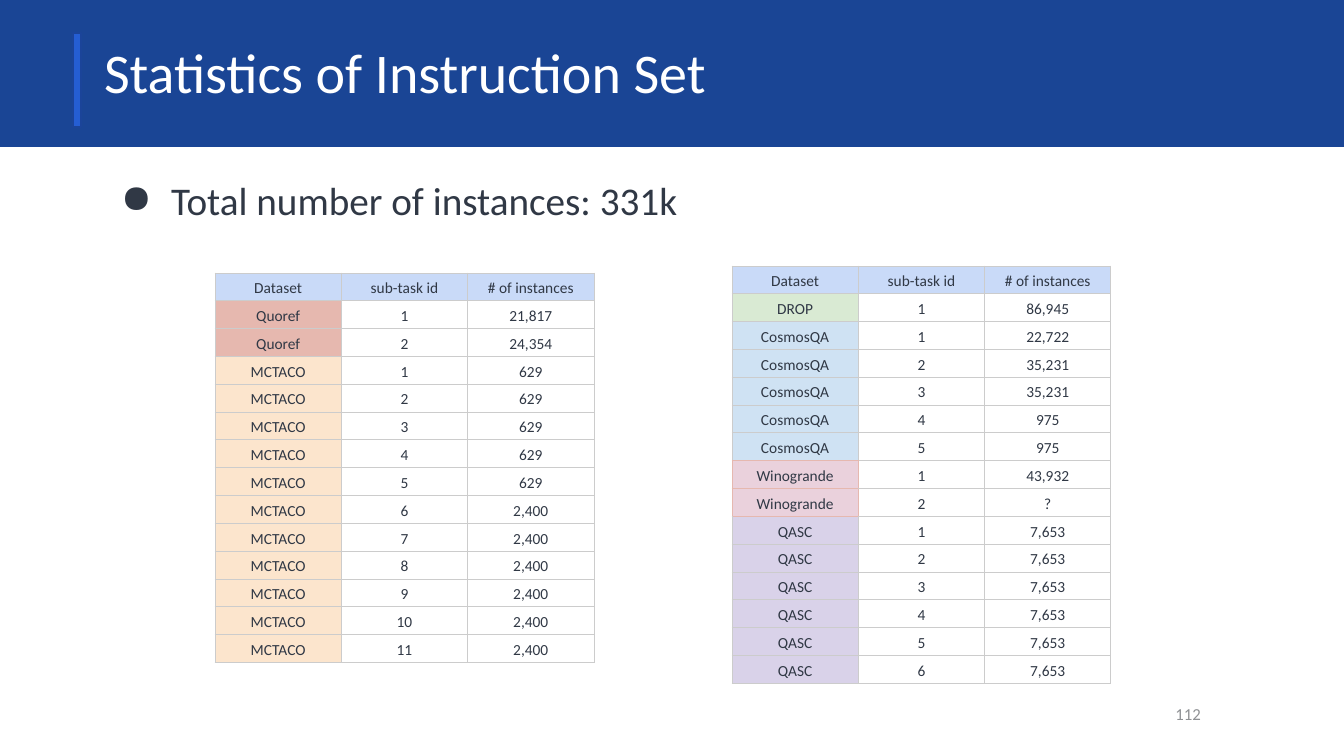
from lxml.etree import SubElement
from pptx import Presentation
from pptx.dml.color import RGBColor
from pptx.enum.shapes import MSO_SHAPE
from pptx.enum.text import MSO_ANCHOR, MSO_AUTO_SIZE, PP_ALIGN
from pptx.oxml.ns import qn
from pptx.util import Emu, Pt

EMU_PER_PX = 914400 / 100.8
COLORS = {
    "banner": "1A4595", "accent": "255ED3", "accent line": "1B4499",
    "white": "FFFFFF", "text": "303845", "page number": "8F9194",
    "grid": "CCCCCC", "pink grid": "E6B8AF", "Dataset": "C9DAF8",
    "Quoref": "E6B8AF", "MCTACO": "FCE5CD", "DROP": "D9EAD3",
    "CosmosQA": "CFE2F3", "Winogrande": "EAD1DC", "QASC": "D9D2E9",
}
HEADER = ("Dataset", "sub-task id", "# of instances")
TABLES = [  # left, top, instances of each sub-task by dataset
    (732, 266, {
        "DROP": ["86,945"],
        "CosmosQA": ["22,722", "35,231", "35,231", "975", "975"],
        "Winogrande": ["43,932", "?"],
        "QASC": ["7,653"] * 6,
    }),
    (215, 273, {
        "Quoref": ["21,817", "24,354"],
        "MCTACO": ["629"] * 5 + ["2,400"] * 6,
    }),
]
TABLE_WIDTH, ROW_HEIGHT = 379, 25


def px(length):
    return Emu(round(length * EMU_PER_PX))


def write(frame, text, size, color, align, spacing):
    frame.word_wrap = True
    paragraph = frame.paragraphs[0]
    paragraph.alignment = align
    paragraph.line_spacing = spacing
    run = paragraph.add_run()
    run.text = text
    run.font.size = Pt(size)
    run.font.name = "Calibri"
    run.font.color.rgb = RGBColor.from_string(COLORS[color])
    return paragraph


presentation = Presentation()
presentation.slide_width, presentation.slide_height = px(1344), px(756)
slide = presentation.slides.add_slide(presentation.slide_layouts[5])
shapes = slide.shapes

# Banner and accent bar
for left, top, width, height, fill, line in [
    (0, 0, 1344, 146, "banner", "banner"),
    (73, 33, 8, 94, "accent", "accent line"),
]:
    bar = shapes.add_shape(MSO_SHAPE.RECTANGLE, px(left), px(top), px(width), px(height))
    bar.shadow.inherit = False
    bar.fill.solid()
    bar.fill.fore_color.rgb = RGBColor.from_string(COLORS[fill])
    bar.line.color.rgb = RGBColor.from_string(COLORS[line])
    bar.line.width = Pt(1)

# Title, brought in front of the banner
title = shapes.title
title.element.getparent().append(title.element)
title.left, title.top, title.width, title.height = px(91), px(32), px(1164), px(85)

# Bullet line and page number
body = shapes.add_textbox(px(91), px(169), px(1214), px(502))
page_number = shapes.add_textbox(px(1133), px(685), px(81), px(57))

for shape, anchor, text, size, color, align, spacing in [
    (title, MSO_ANCHOR.TOP, "Statistics of Instruction Set", 40, "white", PP_ALIGN.LEFT, 0.9),
    (body, MSO_ANCHOR.TOP, "Total number of instances: 331k", 28, "text", PP_ALIGN.LEFT, 0.9),
    (page_number, MSO_ANCHOR.MIDDLE, "112", 12, "page number", PP_ALIGN.RIGHT, 1.0),
]:
    frame = shape.text_frame
    frame.auto_size = MSO_AUTO_SIZE.NONE
    frame.vertical_anchor = anchor
    frame.margin_left = frame.margin_right = px(13)
    frame.margin_top = frame.margin_bottom = px(13)
    write(frame, text, size, color, align, spacing)

properties = body.text_frame.paragraphs[0]._p.get_or_add_pPr()
properties.set("marL", str(px(67)))
properties.set("indent", str(px(-50)))
SubElement(properties, qn("a:buChar"), char="●")

# Statistics tables
for left, top, datasets in TABLES:
    rows = [HEADER] + [
        (name, str(task), count)
        for name, counts in datasets.items()
        for task, count in enumerate(counts, 1)
    ]
    table = shapes.add_table(
        len(rows), len(HEADER), px(left), px(top), px(TABLE_WIDTH), px(ROW_HEIGHT * len(rows))
    ).table
    table.first_row = table.horz_banding = False
    names = [row[0] for row in rows] + [""]

    for row_index, row in enumerate(rows):
        for column_index, text in enumerate(row):
            cell = table.cell(row_index, column_index)
            cell.vertical_anchor = MSO_ANCHOR.BOTTOM
            cell.margin_left = cell.margin_right = px(4)
            cell.margin_top = cell.margin_bottom = px(3)
            write(cell.text_frame, text, 11, "text", PP_ALIGN.CENTER, 1.15)

            # Every edge touching a Winogrande name cell is pink
            pink_edges = set()
            if names[row_index] == "Winogrande":
                pink_edges = [{"L", "R", "T", "B"}, {"L"}, set()][column_index]
            elif column_index == 0 and names[row_index + 1] == "Winogrande":
                pink_edges = {"B"}
            elif column_index == 0 and names[row_index - 1] == "Winogrande":
                pink_edges = {"T"}
            for edge in "LRTB":
                border = SubElement(
                    cell._tc.get_or_add_tcPr(), qn(f"a:ln{edge}"), w=str(Pt(0.75))
                )
                border_fill = SubElement(border, qn("a:solidFill"))
                color = "pink grid" if edge in pink_edges else "grid"
                SubElement(border_fill, qn("a:srgbClr"), val=COLORS[color])

            cell.fill.solid()
            filled = row_index == 0 or column_index == 0
            color = row[0] if filled else "white"
            cell.fill.fore_color.rgb = RGBColor.from_string(COLORS[color])

presentation.save("out.pptx")
